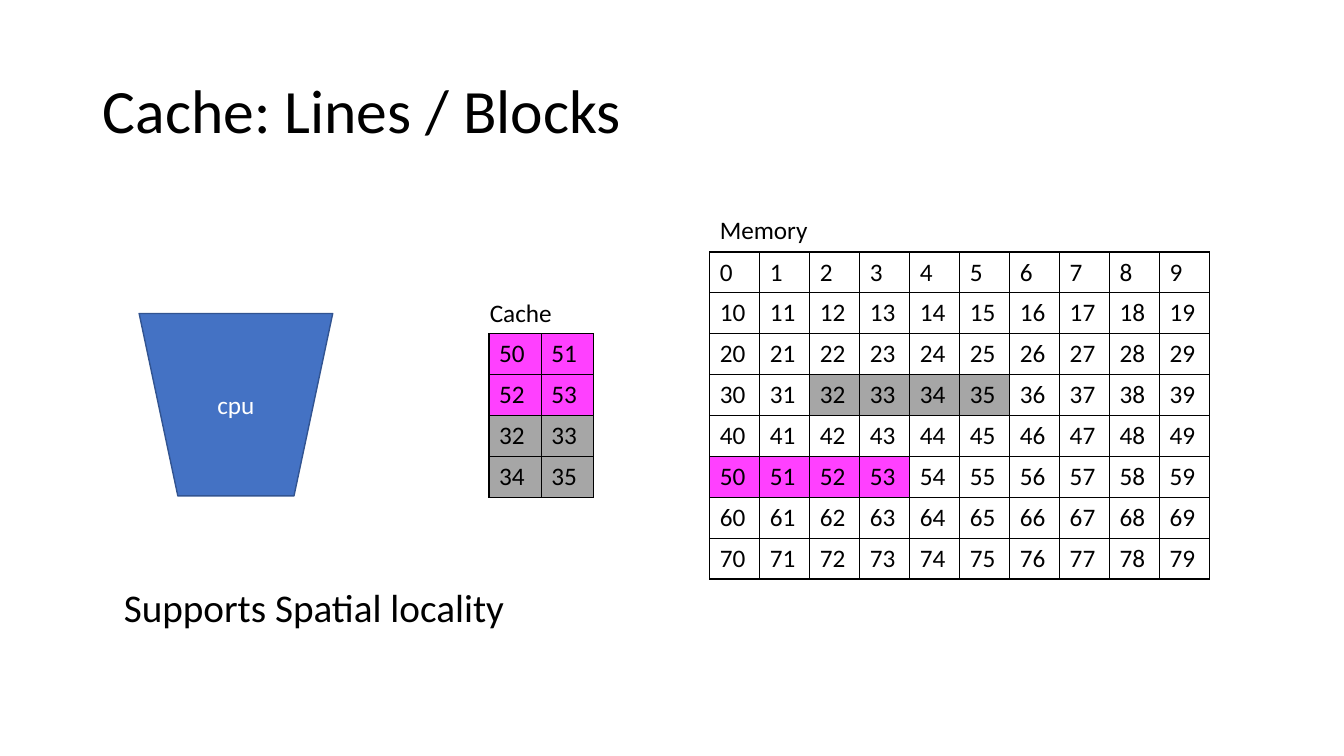
import pptx
import pptx.dml.color
import pptx.enum.shapes
import pptx.enum.text
import pptx.oxml
import pptx.oxml.ns
import pptx.util
from pptx.util import Inches

COLORS = {
    "text": "000000",
    "border": "000000",
    "plain": "FFFFFF",
    "first_line": "FF40FF",
    "second_line": "A6A6A6",
    "cpu": "4472C4",
    "cpu_outline": "325491",
}
FIRST_LINE = [50, 51, 52, 53]
SECOND_LINE = [32, 33, 34, 35]


def format_text(text_frame, size, color="text"):
    for paragraph in text_frame.paragraphs:
        for run in paragraph.runs:
            run.font.name = "Calibri"
            run.font.size = pptx.util.Pt(size)
            run.font.color.rgb = pptx.dml.color.RGBColor.from_string(COLORS[color])


def add_address_table(left, top, width, height, addresses, column_count):
    """Add a bordered grid of addresses, coloured by the cache line they belong to."""
    row_count = len(addresses) // column_count
    frame = slide.shapes.add_table(row_count, column_count, Inches(left), Inches(top),
                                   Inches(width), Inches(height))
    table = frame.table
    table.first_row = False
    table.horz_banding = False
    for row in table.rows:
        row.height = Inches(height / row_count)
    for column in table.columns:
        column.width = Inches(width / column_count)
    for cell, address in zip(table.iter_cells(), addresses):
        cell.text_frame.text = str(address)
        format_text(cell.text_frame, 18)
        if address in FIRST_LINE:
            fill = "first_line"
        elif address in SECOND_LINE:
            fill = "second_line"
        else:
            fill = "plain"
        # Borders come before the fill in the cell properties
        properties = cell._tc.get_or_add_tcPr()
        for side in ("lnL", "lnR", "lnT", "lnB"):
            properties.append(pptx.oxml.parse_xml(
                f'<a:{side} {pptx.oxml.ns.nsdecls("a")} w="12700"><a:solidFill>'
                f'<a:srgbClr val="{COLORS["border"]}"/></a:solidFill></a:{side}>'))
        cell.fill.solid()
        cell.fill.fore_color.rgb = pptx.dml.color.RGBColor.from_string(COLORS[fill])


presentation = pptx.Presentation()
presentation.slide_width = Inches(13.33)
presentation.slide_height = Inches(7.5)
slide = presentation.slides.add_slide(presentation.slide_layouts[5])

# Title
title = slide.shapes.title
title.left, title.top = Inches(0.92), Inches(0.4)
title.width, title.height = Inches(11.5), Inches(1.45)
title.text_frame.text = "Cache: Lines / Blocks"
title.text_frame.vertical_anchor = pptx.enum.text.MSO_ANCHOR.MIDDLE
title.text_frame.paragraphs[0].alignment = pptx.enum.text.PP_ALIGN.LEFT
title.text_frame.paragraphs[0].line_spacing = 0.9
format_text(title.text_frame, 44)

# Memory and cache contents
add_address_table(7.04, 2.5, 4.96, 3.24, list(range(80)), 10)
add_address_table(4.85, 3.31, 1.04, 1.62, FIRST_LINE + SECOND_LINE, 2)

# Processor
cpu = slide.shapes.add_shape(
    pptx.enum.shapes.MSO_SHAPE.FLOWCHART_MANUAL_OPERATION,
    Inches(1.38), Inches(3.11), Inches(1.92), Inches(1.81))
cpu.shadow.inherit = False
cpu.fill.solid()
cpu.fill.fore_color.rgb = pptx.dml.color.RGBColor.from_string(COLORS["cpu"])
cpu.line.color.rgb = pptx.dml.color.RGBColor.from_string(COLORS["cpu_outline"])
cpu.line.width = pptx.util.Pt(1)
cpu.text_frame.text = "cpu"
cpu.text_frame.vertical_anchor = pptx.enum.text.MSO_ANCHOR.MIDDLE
cpu.text_frame.paragraphs[0].alignment = pptx.enum.text.PP_ALIGN.CENTER
format_text(cpu.text_frame, 18, "plain")

# Labels and takeaway
for text, left, top, width, height, size, wraps in [
    ("Memory", 7.04, 2.08, 1.08, 0.4, 18, False),
    ("Cache", 4.76, 2.9, 0.82, 0.4, 18, False),
    ("Supports Spatial locality", 1.13, 5.74, 4.26, 0.57, 28, True),
]:
    label = slide.shapes.add_textbox(Inches(left), Inches(top), Inches(width), Inches(height))
    label.text_frame.text = text
    label.text_frame.word_wrap = wraps
    label.text_frame.auto_size = pptx.enum.text.MSO_AUTO_SIZE.SHAPE_TO_FIT_TEXT
    format_text(label.text_frame, size)

presentation.save("out.pptx")
